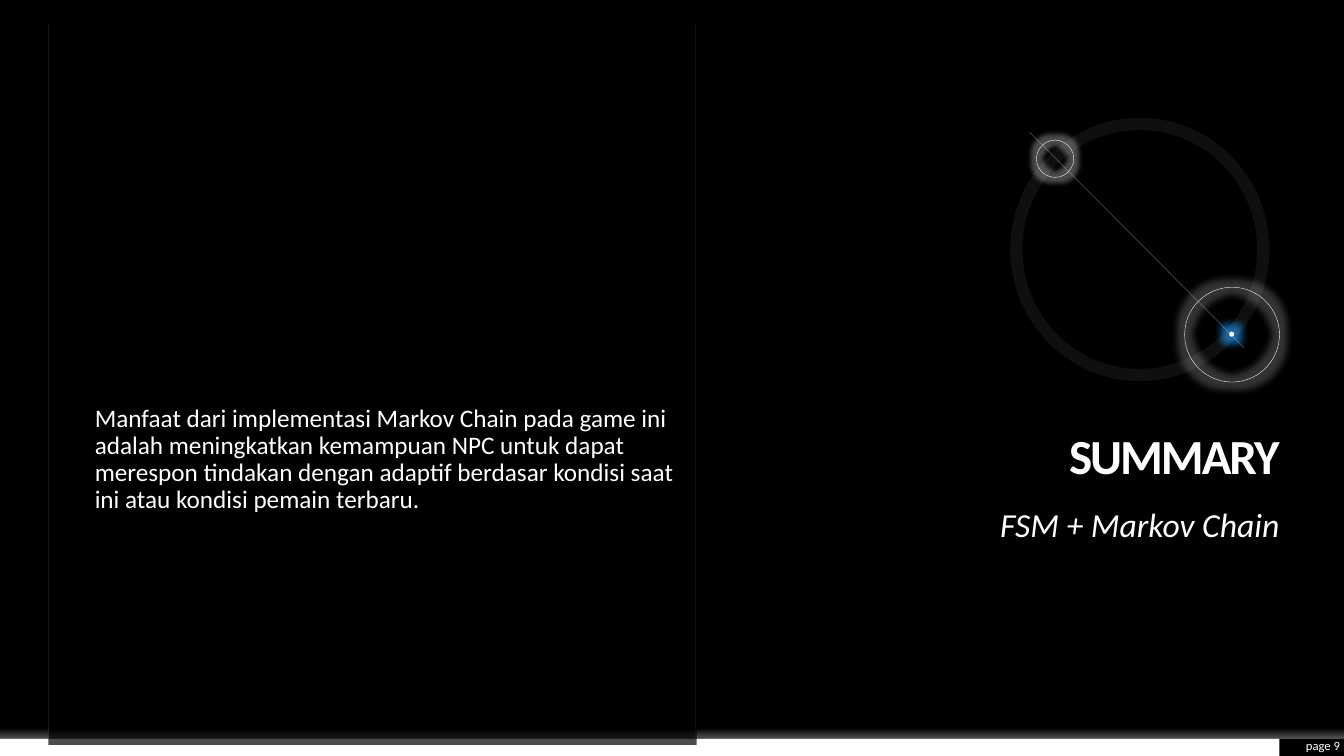
"""Build a black summary slide with an orbit drawing and a body panel."""
from lxml import etree
from pptx import Presentation
from pptx.dml.color import RGBColor
from pptx.enum import shapes as kinds, text as txt
from pptx.oxml import ns
from pptx.util import Inches, Pt

rgb = RGBColor.from_string


def fade(shape, *levels):
    """Set the opacity, in percent, of the shape's colours in turn."""
    for tint, level in zip(shape.element.spPr.xpath(".//a:srgbClr"), levels):
        etree.SubElement(tint, ns.qn("a:alpha"), val=str(level * 1000))


def write(box, words, size, align, anchor, gap=0, lead=1.0):
    """Fill a text frame with one white paragraph."""
    frame = box.text_frame
    frame.word_wrap = True
    frame.auto_size = txt.MSO_AUTO_SIZE.NONE
    frame.margin_left = frame.margin_right = 0
    frame.margin_top = frame.margin_bottom = 0
    frame.vertical_anchor = anchor
    frame.text = words
    para = frame.paragraphs[0]
    para.alignment = align
    para.line_spacing = lead
    para.space_before = Pt(gap)
    para.font.name = "Calibri"
    para.font.size = Pt(size)
    para.font.color.rgb = rgb("FFFFFF")
    return para


deck = Presentation()
deck.slide_width, deck.slide_height = Inches(13.33), Inches(7.5)
slide = deck.slides.add_slide(deck.slide_layouts[5])
slide.background.fill.solid()
slide.background.fill.fore_color.rgb = rgb("000000")
items = slide.shapes

bars = []
for left, top, width, height, tint in [
    (0, 7.33, 12.69, 0.17, "FFFFFF"),
    (0, 7.16, 13.33, 0.17, None),
    (0.48, 4.26, 6.43, 3.13, "000000"),
    (11.46, 0, 1.88, 0.87, "000000"),
]:
    bar = items.add_shape(kinds.MSO_SHAPE.RECTANGLE, Inches(left), Inches(top),
                          Inches(width), Inches(height))
    bar.shadow.inherit = False
    bar.line.fill.background()
    if tint:
        bar.fill.solid()
        bar.fill.fore_color.rgb = rgb(tint)
    bars.append(bar)

floor, haze, panel, patch = bars
haze.fill.gradient()
haze.fill.gradient_angle = 270
for stop, place in zip(haze.fill.gradient_stops, (0.4, 1)):
    stop.color.rgb = rgb("FFFFFF")
    stop.position = place
fade(haze, 0, 35)
fade(panel, 70)

for left, top, width, height, line, level, glow in [
    (11.75, 2.85, 0.94, 0.94, 0.25, 100, ("FFFFFF", 0.14, 20)),
    (10.28, 1.39, 0.37, 0.37, 0.25, 100, ("FFFFFF", 0.1, 30)),
    (12.19, 3.29, 0.05, 0.05, 0, 100, ("1C9CFF", 0.15, 60)),
    (10.08, 1.23, 2.45, 2.49, 8.75, 6, None),
]:
    ring = items.add_shape(kinds.MSO_SHAPE.OVAL, Inches(left), Inches(top),
                           Inches(width), Inches(height))
    ring.shadow.inherit = False
    if line:
        ring.fill.background()
        ring.line.width = Pt(line)
        ring.line.color.rgb = rgb("FFFFFF")
        fade(ring, level)
    else:
        ring.line.fill.background()
        ring.fill.solid()
        ring.fill.fore_color.rgb = rgb("F7FFFF")
    if glow:
        tint, reach, level = glow
        effect = ring.element.spPr.find(ns.qn("a:effectLst"))
        halo = etree.SubElement(effect, ns.qn("a:glow"), rad=str(Inches(reach)))
        shade = etree.SubElement(halo, ns.qn("a:srgbClr"), val=tint)
        etree.SubElement(shade, ns.qn("a:alpha"), val=str(level * 1000))

for x1, y1, x2, y2, tint, width, level in [
    (6.9, 0.23, 6.9, 7.33, "F2F2F2", 0.25, 15),
    (0.48, 0.23, 0.48, 7.33, "F2F2F2", 0.25, 15),
    (10.21, 1.31, 12.34, 3.45, "E7E6E6", 0.5, 30),
]:
    rule = items.add_connector(kinds.MSO_CONNECTOR.STRAIGHT, Inches(x1),
                               Inches(y1), Inches(x2), Inches(y2))
    rule.line.width = Pt(width)
    rule.line.color.rgb = rgb(tint)
    fade(rule, level)
    etree.SubElement(rule.element.spPr, ns.qn("a:effectLst"))

right, start = txt.PP_ALIGN.RIGHT, txt.PP_ALIGN.LEFT
high, mid, low = txt.MSO_ANCHOR.TOP, txt.MSO_ANCHOR.MIDDLE, txt.MSO_ANCHOR.BOTTOM

title = items.title
title.left, title.top = Inches(7.13), Inches(4.02)
title.width, title.height = Inches(5.56), Inches(0.79)
head = write(title, "SUMMARY", 35, right, low, lead=0.9)
head.font.bold = True
head.runs[0].font.bold = True
head.runs[0].font.element.set("spc", "-150") if hasattr(
    head.runs[0].font, "element") else head.font._element.set("spc", "-150")

sub = items.add_textbox(Inches(7.13), Inches(5.04), Inches(5.56), Inches(1.97))
write(sub, "FSM + Markov Chain", 24, right, high, 10, 0.9).font.italic = True

body = items.add_textbox(Inches(0.94), Inches(4.02), Inches(5.9), Inches(2.98))
write(body, "Manfaat dari implementasi Markov Chain pada game ini adalah "
      "meningkatkan kemampuan NPC untuk dapat merespon tindakan dengan adaptif "
      "berdasar kondisi saat ini atau kondisi pemain terbaru.",
      18, start, high, 10, 0.9)

page = items.add_textbox(Inches(12.69), Inches(7.31), Inches(0.6), Inches(0.17))
write(page, "page 9", 9, right, mid)

deck.save("out.pptx")
